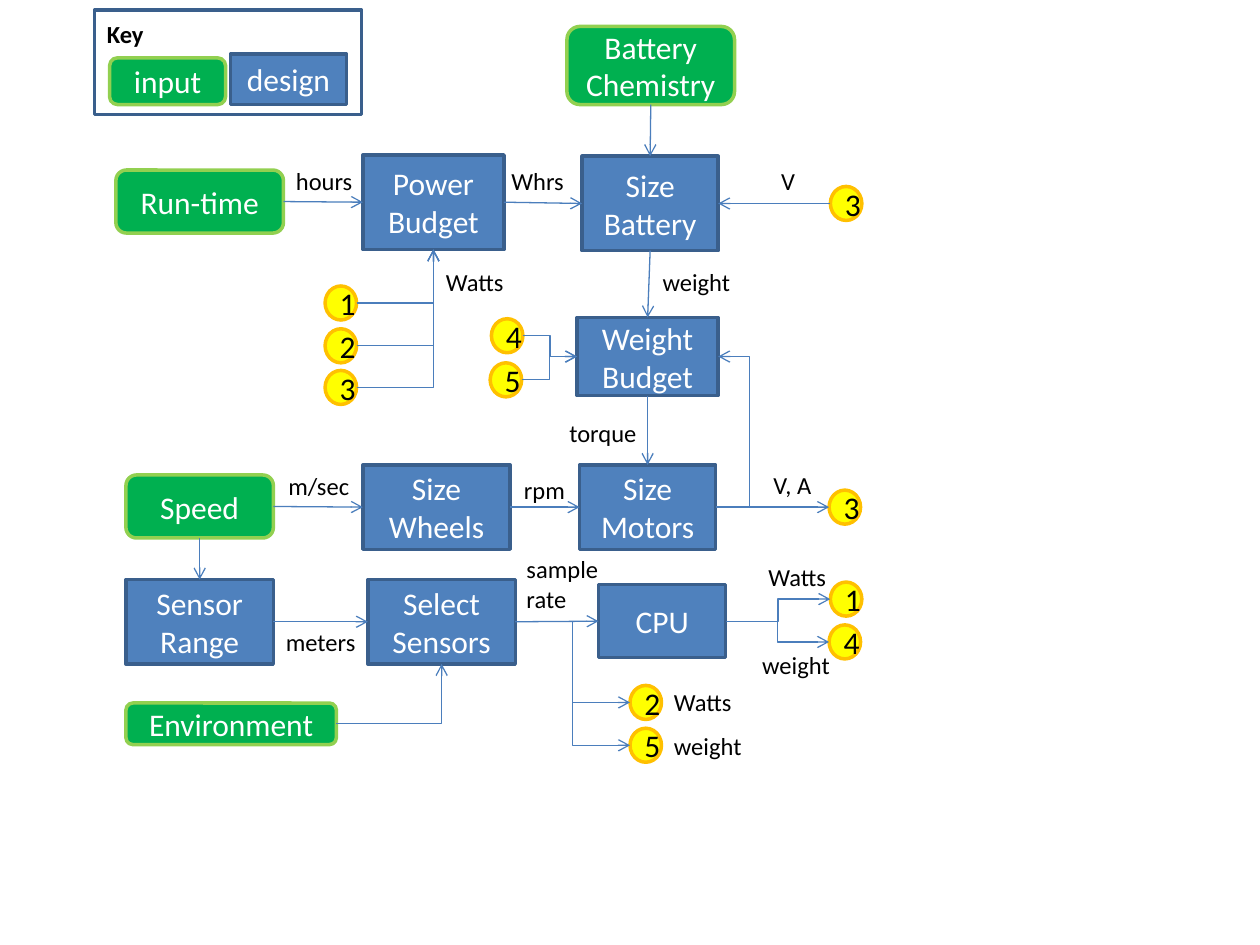
from dataclasses import dataclass

from lxml.etree import SubElement
from pptx import Presentation
from pptx.dml.color import RGBColor
from pptx.enum.shapes import MSO_CONNECTOR, MSO_SHAPE
from pptx.enum.text import MSO_ANCHOR, MSO_AUTO_SIZE, PP_ALIGN
from pptx.oxml.ns import qn
from pptx.util import Inches, Pt


@dataclass(frozen=True)
class Theme:
    font: str = "Calibri"
    node_size: int = 18
    label_size: int = 14
    outline: float = 2
    arrow_width: float = 0.75
    arrow: str = "4B7EBC"
    ink: str = "000000"


THEME = Theme()
KINDS = {
    "input": (MSO_SHAPE.ROUNDED_RECTANGLE, "00B050", "92D050", "FFFFFF"),
    "design": (MSO_SHAPE.RECTANGLE, "4F81BD", "3A5F8C", "FFFFFF"),
    "port": (MSO_SHAPE.OVAL, "FFFF00", "FFC000", THEME.ink),
    "frame": (MSO_SHAPE.RECTANGLE, None, "3A5F8C", THEME.ink),
}
SIDES = {"top": (0, 0.5, 0), "left": (1, 0, 0.5), "bottom": (2, 0.5, 1), "right": (3, 1, 0.5)}
PORT = (0.25, 0.27)


def apply_format(target, values):
    for name, value in values.items():
        setattr(target, name, value)


def write_text(text_frame, text, size, color, alignment, bold=False):
    for index, line in enumerate(text.split("\n")):
        paragraph = text_frame.add_paragraph() if index else text_frame.paragraphs[0]
        paragraph.alignment = alignment
        run = paragraph.add_run()
        run.text = line
        apply_format(run.font, {"name": THEME.font, "size": Pt(size), "bold": bold})
        run.font.color.rgb = RGBColor.from_string(color)


def add_node(slide, box, kind, text, left, top, width, height):
    preset, fill, outline, ink = KINDS[kind]
    shape = slide.shapes.add_shape(
        preset, Inches(box[0] + left), Inches(box[1] + top), Inches(width), Inches(height))
    shape.shadow.inherit = False
    if fill:
        shape.fill.solid()
        shape.fill.fore_color.rgb = RGBColor.from_string(fill)
    else:
        shape.fill.background()
    shape.line.color.rgb = RGBColor.from_string(outline)
    shape.line.width = Pt(THEME.outline)
    apply_format(shape.text_frame, {"vertical_anchor": MSO_ANCHOR.MIDDLE, "word_wrap": True})
    if text:
        write_text(shape.text_frame, text, THEME.node_size, ink, PP_ALIGN.CENTER)
    return shape


def add_label(slide, box, text, left, top, width, height=0.34, bold=False):
    label = slide.shapes.add_textbox(
        Inches(box[0] + left), Inches(box[1] + top), Inches(width), Inches(height))
    apply_format(label.text_frame, {"word_wrap": False, "auto_size": MSO_AUTO_SIZE.SHAPE_TO_FIT_TEXT})
    write_text(label.text_frame, text, THEME.label_size, THEME.ink, PP_ALIGN.LEFT, bold)


def side_point(shape, side):
    _, across, down = SIDES[side]
    return int(shape.left + shape.width * across), int(shape.top + shape.height * down)


def add_arrow(slide, start, start_side, end, end_side, elbow=False, bend=None):
    begin, finish = side_point(start, start_side), side_point(end, end_side)
    kind = MSO_CONNECTOR.ELBOW if elbow else MSO_CONNECTOR.STRAIGHT
    connector = slide.shapes.add_connector(kind, *begin, *finish)
    geometry = connector.element.spPr.find(qn("a:prstGeom"))
    if elbow and end_side == "bottom":
        geometry.set("prst", "bentConnector2")
    if bend is not None:
        ratio = (Inches(bend) - begin[0]) / (finish[0] - begin[0])
        SubElement(geometry.find(qn("a:avLst")), qn("a:gd"),
                   name="adj1", fmla=f"val {round(ratio * 100000)}")
    if not elbow:
        for shape, side, connect in ((start, start_side, connector.begin_connect),
                                     (end, end_side, connector.end_connect)):
            if shape.auto_shape_type != MSO_SHAPE.OVAL:
                connect(shape, SIDES[side][0])
    connector.line.color.rgb = RGBColor.from_string(THEME.arrow)
    connector.line.width = Pt(THEME.arrow_width)
    SubElement(connector.line._get_or_add_ln(), qn("a:tailEnd"), type="arrow")
    SubElement(connector.element.spPr, qn("a:effectLst"))


def place_parts(slide, box, nodes, labels):
    for label in labels:
        add_label(slide, box, *label)
    return {name: add_node(slide, box, *node) for name, node in nodes.items()}


def place_key(slide, box):
    add_node(slide, box, "frame", "", 0, 0, box[2], box[3])
    add_node(slide, box, "input", "input", 0.12, 0.38, 0.92, 0.37)
    add_node(slide, box, "design", "design", 1.08, 0.35, 0.92, 0.4)
    add_label(slide, box, "Key", 0, 0.02, 0.49, bold=True)


def place_power(slide, box):
    nodes = {
        "chemistry": ("input", "Battery\nChemistry", 3.6, 0.01, 1.33, 0.62),
        "runtime": ("input", "Run-time", 0.02, 1.15, 1.33, 0.5),
        "power": ("design", "Power\nBudget", 1.98, 1.03, 1.12, 0.75),
        "battery": ("design", "Size\nBattery", 3.72, 1.04, 1.08, 0.75),
        "volts in": ("port", "3", 5.69, 1.28, *PORT),
        "watts 1": ("port", "1", 1.68, 2.07, *PORT),
        "watts 2": ("port", "2", 1.68, 2.41, *PORT),
        "watts 3": ("port", "3", 1.68, 2.74, *PORT),
    }
    labels = [("hours", 1.35, 1.07, 0.65), ("Whrs", 3.06, 1.07, 0.62), ("V", 5.2, 1.07, 0.31),
              ("Watts", 2.54, 1.87, 0.67), ("weight", 4.26, 1.87, 0.75)]
    return place_parts(slide, box, nodes, labels)


def place_drive(slide, box):
    nodes = {
        "weight 4": ("port", "4", 2.9, 0.03, *PORT),
        "weight 5": ("port", "5", 2.89, 0.38, *PORT),
        "weight": ("design", "Weight\nBudget", 3.58, 0.02, 1.12, 0.62),
        "speed": ("input", "Speed", 0, 1.27, 1.17, 0.5),
        "wheels": ("design", "Size\nWheels", 1.88, 1.19, 1.17, 0.67),
        "motors": ("design", "Size\nMotors", 3.6, 1.19, 1.08, 0.67),
        "volts out": ("port", "3", 5.58, 1.39, *PORT),
    }
    labels = [("torque", 3.42, 0.77, 0.74), ("m/sec", 1.19, 1.19, 0.69),
              ("rpm", 3.06, 1.22, 0.53), ("V, A", 5.04, 1.18, 0.51)]
    return place_parts(slide, box, nodes, labels)


def place_sensing(slide, box):
    nodes = {
        "range": ("design", "Sensor\nRange", 0, 0.2, 1.17, 0.67),
        "sensors": ("design", "Select\nSensors", 1.92, 0.2, 1.17, 0.67),
        "cpu": ("design", "CPU", 3.75, 0.24, 1.01, 0.58),
        "environment": ("input", "Environment", 0, 1.18, 1.67, 0.33),
        "cpu watts": ("port", "1", 5.59, 0.22, *PORT),
        "cpu weight": ("port", "4", 5.58, 0.56, *PORT),
        "sensor watts": ("port", "2", 4, 1.04, *PORT),
        "sensor weight": ("port", "5", 4, 1.38, *PORT),
    }
    labels = [("meters", 1.17, 0.53, 0.76), ("sample\nrate", 3.08, -0.05, 0.78, 0.57),
              ("Watts", 5, 0.01, 0.67), ("weight", 4.95, 0.71, 0.75),
              ("Watts", 4.25, 1, 0.67), ("weight", 4.25, 1.35, 0.75)]
    return place_parts(slide, box, nodes, labels)


def link_nodes(slide, nodes):
    across, down, back = ("right", "left"), ("bottom", "top"), ("left", "right")
    rise, loop = ("right", "bottom"), ("right", "right")
    links = [
        ("runtime", "power", across), ("power", "battery", across),
        ("chemistry", "battery", down), ("volts in", "battery", back),
        ("battery", "weight", down), ("weight", "motors", down),
        ("speed", "wheels", across), ("wheels", "motors", across),
        ("motors", "volts out", across), ("speed", "range", down),
        ("range", "sensors", across), ("sensors", "cpu", across),
        *((f"watts {number}", "power", rise, True) for number in (1, 2, 3)),
        *((f"weight {number}", "weight", across, True) for number in (4, 5)),
        ("environment", "sensors", rise, True), ("motors", "weight", loop, True, 5.95),
        *((source, f"{prefix} {unit}", across, True)
          for source, prefix in (("sensors", "sensor"), ("cpu", "cpu"))
          for unit in ("watts", "weight")),
    ]
    for start, end, sides, *options in links:
        add_arrow(slide, nodes[start], sides[0], nodes[end], sides[1], *options)


presentation = Presentation()
apply_format(presentation, {"slide_width": Inches(10), "slide_height": Inches(7.5)})
slide = presentation.slides.add_slide(presentation.slide_layouts[6])
place_key(slide, (0.75, 0.08, 2.12, 0.83))
nodes = {
    **place_power(slide, (0.9, 0.2)),
    **place_drive(slide, (1, 2.5)),
    **place_sensing(slide, (1, 4.4)),
}
link_nodes(slide, nodes)
presentation.save("out.pptx")
